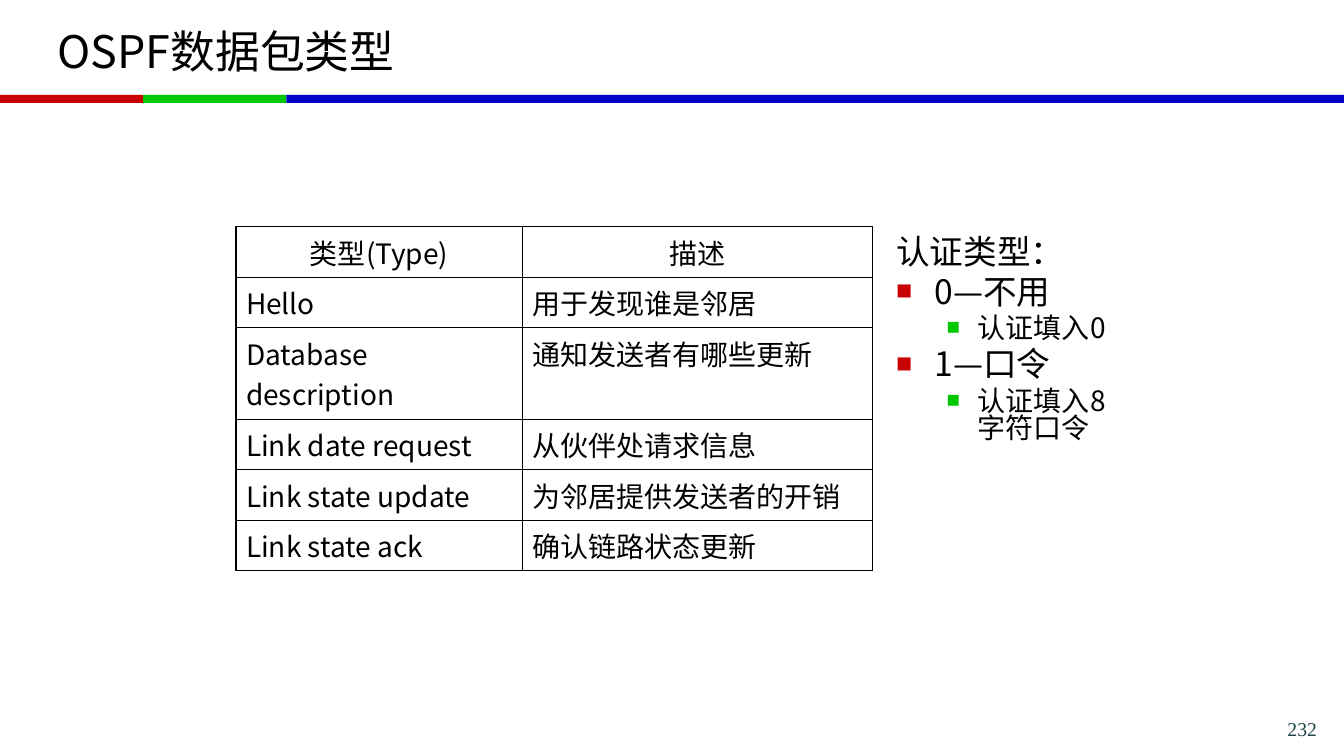
from pptx import Presentation
from pptx.dml.color import RGBColor
from pptx.enum.shapes import MSO_SHAPE as Shape
from pptx.enum.text import MSO_ANCHOR as Anchor, PP_ALIGN as Align
from pptx.oxml import parse_xml
from pptx.oxml.ns import nsdecls
from pptx.util import Inches, Pt

SANS, SERIF = "Noto Sans CJK SC", "Times New Roman"
RED, GREEN, BLUE, BLACK = "C80000", "00C800", "0000C8", "000000"
PACKETS = [
    ("类型(Type)", "描述"),
    ("Hello", "用于发现谁是邻居"),
    ("Database description", "通知发送者有哪些更新"),
    ("Link date request", "从伙伴处请求信息"),
    ("Link state update", "为邻居提供发送者的开销"),
    ("Link state ack", "确认链路状态更新"),
]
COLUMN_WIDTHS = (2.84, 3.47)
ROW_HEIGHTS = (0.5, 0.5, 0.91, 0.5, 0.5, 0.5)
AUTHENTICATION = [
    ("认证类型：", 0, False),
    ("0—不用", 0, True),
    ("认证填入0", 1, True),
    ("1—口令", 0, True),
    ("认证填入8字符口令", 1, True),
]
LEVELS = [(24, 0.38, 0.38, RED), (20, 0.81, 0.31, GREEN)]


def colour(code):
    return RGBColor.from_string(code)


def xml(tag, attributes, inner=""):
    return parse_xml(f"<a:{tag} {nsdecls('a')} {attributes}>{inner}</a:{tag}>")


def style(para, size, name=SANS, code=BLACK):
    for span in para.runs:
        span.font.size = Pt(size)
        span.font.name = name
        span.font.color.rgb = colour(code)
        span.font._element.append(xml("ea", f'typeface="{name}"'))


def add_box(page, box):
    frame = page.shapes.add_textbox(*map(Inches, box)).text_frame
    frame.word_wrap = True
    return frame


def add_line(page, box, text, size, name=SANS, code=BLACK, align=Align.LEFT, anchor=Anchor.TOP):
    frame = add_box(page, box)
    frame.vertical_anchor = anchor
    frame.text = text
    frame.paragraphs[0].alignment = align
    style(frame.paragraphs[0], size, name, code)


def add_stripe(page, box):
    left, top, width, height = box
    part = 1.42
    segments = [(0, part, RED), (part, part, GREEN), (2 * part, width - 2 * part, BLUE)]
    for offset, length, code in segments:
        bar = page.shapes.add_shape(
            Shape.RECTANGLE, *map(Inches, (left + offset, top, length, height)))
        bar.shadow.inherit = False
        bar.fill.solid()
        bar.fill.fore_color.rgb = colour(code)
        bar.line.fill.background()


def add_borders(cell):
    properties = cell._tc.get_or_add_tcPr()
    fill = f'<a:solidFill><a:srgbClr val="{BLACK}"/></a:solidFill>'
    for position, side in enumerate(("lnL", "lnR", "lnT", "lnB")):
        properties.insert(position, xml(side, f'w="{Pt(1)}"', fill))


def add_packet_table(page, box):
    table = page.shapes.add_table(
        len(PACKETS), len(COLUMN_WIDTHS), *map(Inches, box)).table
    for column, width in zip(table.columns, COLUMN_WIDTHS):
        column.width = Inches(width)
    for row, height, texts in zip(table.rows, ROW_HEIGHTS, PACKETS):
        row.height = Inches(height)
        for cell, text in zip(row.cells, texts):
            cell.fill.background()
            add_borders(cell)
            cell.text = text
            para = cell.text_frame.paragraphs[0]
            para.alignment = Align.CENTER if texts == PACKETS[0] else Align.LEFT
            style(para, 20)


def add_authentication(page, box):
    frame = add_box(page, box)
    frame.margin_top = Inches(0.11)
    for number, (text, level, has_bullet) in enumerate(AUTHENTICATION):
        size, indent, hanging, code = LEVELS[level]
        para = frame.add_paragraph() if number else frame.paragraphs[0]
        para.text = text
        para.level = level
        para.line_spacing = 0.82
        if number:
            para.space_before = Pt(size * 0.2)
        properties = para._p.get_or_add_pPr()
        properties.set("marL", str(Inches(indent)))
        properties.set("indent", str(-Inches(hanging)))
        if has_bullet:
            properties.append(xml("buClr", "", f'<a:srgbClr val="{code}"/>'))
            properties.append(xml("buSzPct", 'val="80000"'))
            properties.append(xml("buFont", f'typeface="{SERIF}"'))
            properties.append(xml("buChar", 'char="■"'))
        else:
            properties.set("marL", "0")
            properties.set("indent", "0")
        style(para, size)


def main():
    deck = Presentation()
    deck.slide_width, deck.slide_height = Inches(13.33), Inches(7.5)
    page = deck.slides.add_slide(deck.slide_layouts[6])
    add_stripe(page, (0, 0.94, 13.33, 0.08))
    add_line(page, (10.05, 7.06, 3.11, 0.23), "232", 14, SERIF, "1E4649", Align.RIGHT)
    add_line(page, (0.47, 0.08, 12.39, 0.84), "OSPF数据包类型", 32, anchor=Anchor.MIDDLE)
    add_packet_table(page, (2.34, 2.25, sum(COLUMN_WIDTHS), sum(ROW_HEIGHTS)))
    add_authentication(page, (8.79, 2.25, 2.52, 2.6))
    deck.save("out.pptx")


if __name__ == "__main__":
    main()
